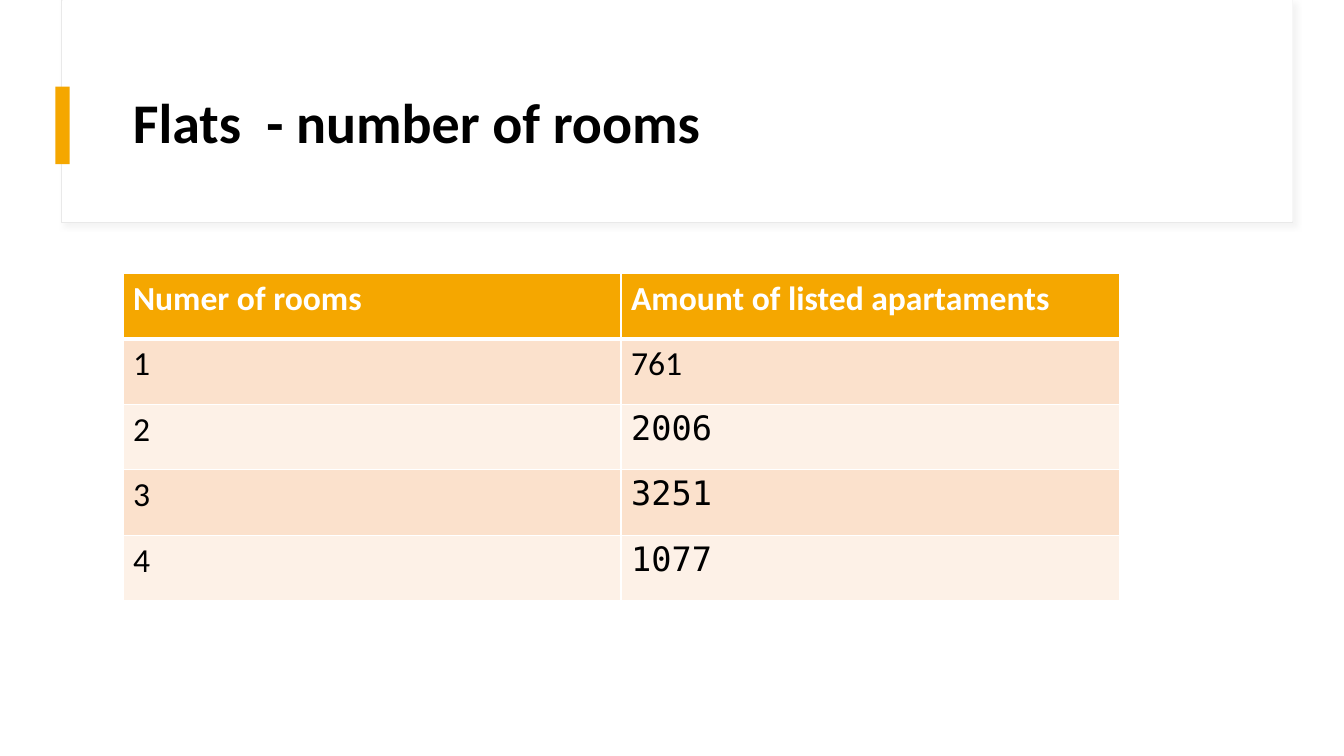
from pptx import Presentation
from pptx.dml.color import RGBColor
from pptx.enum import shapes, text
from pptx.oxml import parse_xml
from pptx.oxml.ns import nsdecls
from pptx.util import Inches, Pt

TITLE = "Flats  - number of rooms"
HEADER = ("Numer of rooms", "Amount of listed apartaments")
ROOMS = [("1", "761"), ("2", "2006"), ("3", "3251"), ("4", "1077")]
MONO_VALUES = {"2006", "3251", "1077"}

BODY_FONT, MONO_FONT = "Calibri", "DejaVu Sans Mono"
WHITE, BLACK, ORANGE, PALE_GREY = "FFFFFF", "000000", "F5A700", "E9E9E9"
BANDS = ("FBE1CC", "FDF1E7")
COLUMN_WIDTH, ROW_HEIGHT = 4.94, 0.65


def paint(fill, color):
    fill.solid()
    fill.fore_color.rgb = RGBColor.from_string(color)


def style(para, size, color, bold, font=BODY_FONT):
    for span in para.runs:
        span.font.name = font
        span.font.size = Pt(size)
        span.font.bold = bold
        paint(span.font.fill, color)


def add_panel(page, left, top, width, height, color):
    panel = page.shapes.add_shape(
        shapes.MSO_SHAPE.RECTANGLE, *map(Inches, (left, top, width, height)))
    panel.shadow.inherit = False
    paint(panel.fill, color)
    panel.line.fill.background()
    return panel


def add_soft_shadow(shape):
    shape._element.spPr.find("{*}effectLst").append(parse_xml(
        f'<a:outerShdw {nsdecls("a")} blurRad="{Pt(4)}" dist="{Pt(3)}" '
        'dir="2700000" algn="tl" rotWithShape="0"><a:srgbClr val="D9D9D9">'
        '<a:alpha val="30000"/></a:srgbClr></a:outerShdw>'))


def set_borders(cell, top, bottom):
    """Draw white borders; top and bottom are widths in points."""
    widths = {"lnL": 1, "lnR": 1, "lnT": top, "lnB": bottom}
    properties = cell._tc.get_or_add_tcPr()
    for index, (side, width) in enumerate(widths.items()):
        properties.insert(index, parse_xml(
            f'<a:{side} {nsdecls("a")} w="{Pt(width)}"><a:solidFill>'
            f'<a:srgbClr val="{WHITE}"/></a:solidFill></a:{side}>'))


def add_header(page):
    frame = add_panel(page, 0.61, 0, 12.21, 2.21, WHITE)
    paint(frame.line.fill, PALE_GREY)
    frame.line.width = Pt(0.75)
    add_soft_shadow(frame)
    add_panel(page, 0.62, 0, 12.2, 2.2, WHITE)
    add_panel(page, 0.55, 0.86, 0.14, 0.77, ORANGE)

    box = page.shapes.add_textbox(*map(Inches, (1.22, 0.6, 11.12, 1.29)))
    box.text_frame.word_wrap = True
    box.text_frame.vertical_anchor = text.MSO_ANCHOR.MIDDLE
    para = box.text_frame.paragraphs[0]
    para.text = TITLE
    para.line_spacing = 0.9
    style(para, 40, BLACK, True)


def add_rooms_table(page):
    rows = [HEADER, *ROOMS]
    table = page.shapes.add_table(
        len(rows), len(HEADER), Inches(1.22), Inches(2.71),
        Inches(COLUMN_WIDTH * len(HEADER)), Inches(ROW_HEIGHT * len(rows))).table
    for column in table.columns:
        column.width = Inches(COLUMN_WIDTH)
    for r, values in enumerate(rows):
        table.rows[r].height = Inches(ROW_HEIGHT)
        is_header = r == 0
        for c, value in enumerate(values):
            cell = table.cell(r, c)
            cell.text_frame.text = value
            style(cell.text_frame.paragraphs[0], 24,
                  WHITE if is_header else BLACK, is_header,
                  MONO_FONT if value in MONO_VALUES else BODY_FONT)
            paint(cell.fill, ORANGE if is_header else BANDS[(r - 1) % 2])
            set_borders(cell, 3 if r == 1 else 1, 3 if is_header else 1)


def main():
    deck = Presentation()
    deck.slide_width, deck.slide_height = Inches(13.33), Inches(7.5)
    page = deck.slides.add_slide(deck.slide_layouts[6])
    paint(page.background.fill, WHITE)
    add_header(page)
    add_rooms_table(page)
    deck.save("out.pptx")


if __name__ == "__main__":
    main()
